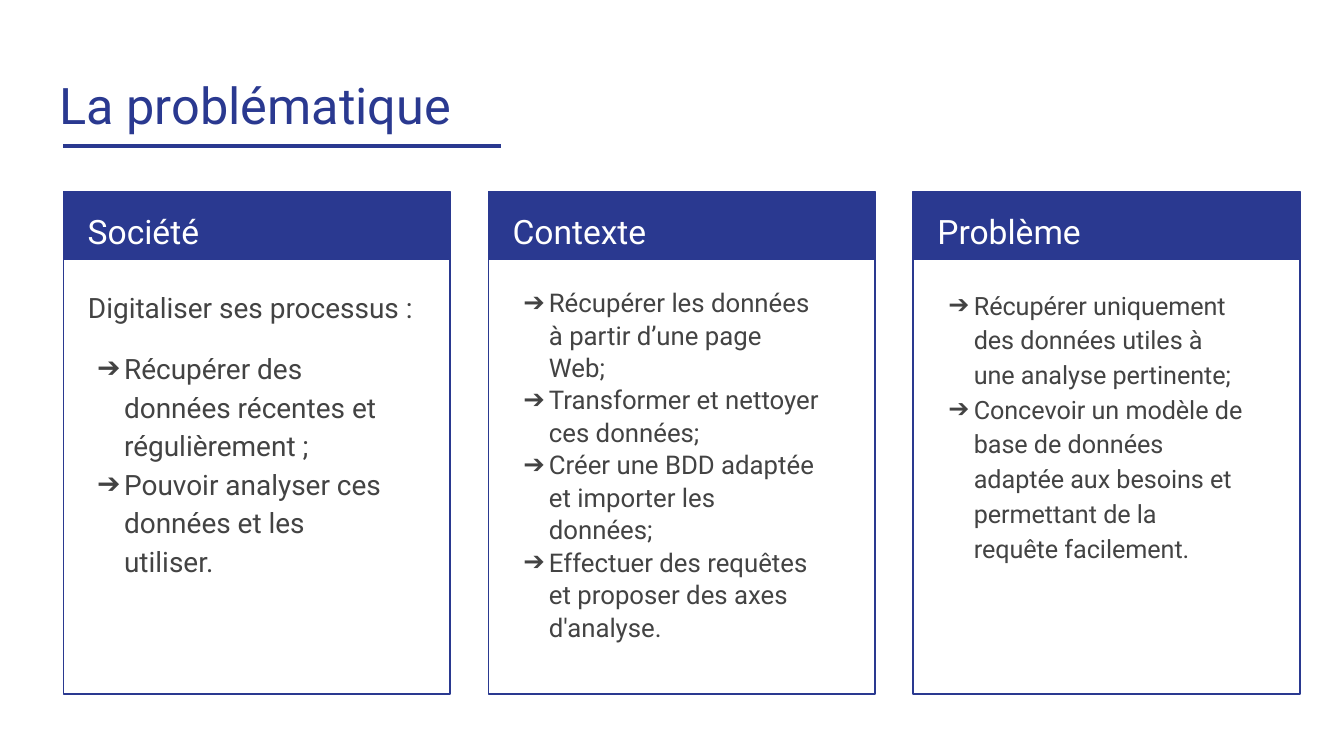
from lxml import etree
from pptx import Presentation
from pptx.dml.color import RGBColor
from pptx.enum import shapes, text
from pptx.oxml import ns
from pptx.util import Pt

BLUE, GREY, WHITE = "2A3990", "434343", "FFFFFF"
FONT = "Roboto"
TITLE = "La problématique"
CARDS = [
    {"heading": "Société", "intro": "Digitaliser ses processus :",
     "points": ["Récupérer des données récentes et régulièrement ;",
                "Pouvoir analyser ces données et les utiliser."],
     "size": 15, "spacing": 1.15, "hanging": 14.4},
    {"heading": "Contexte", "intro": None,
     "points": ["Récupérer les données à partir d’une page Web;",
                "Transformer et nettoyer ces données;",
                "Créer une BDD adaptée et importer les données;",
                "Effectuer des requêtes et proposer des axes d'analyse."],
     "size": 13.8, "spacing": 1.05, "hanging": 13.7},
    {"heading": "Problème", "intro": None,
     "points": ["Récupérer uniquement des données utiles à une analyse pertinente;",
                "Concevoir un modèle de base de données adaptée aux besoins "
                "et permettant de la requête facilement."],
     "size": 13.5, "spacing": 1.15, "hanging": 13.7},
]
LEFT, TOP, WIDTH, HEIGHT, STEP = 34, 102.7, 207.2, 269.2, 227.6
BAND = 36.6
INDENT, RIGHT_INDENT = 19.4, 15


def color(value):
    return RGBColor.from_string(value)


def add_frame(slide, left, top, width, height):
    frame = slide.shapes.add_textbox(Pt(left), Pt(top), Pt(width), Pt(height)).text_frame
    frame.word_wrap = True
    frame.vertical_anchor = text.MSO_ANCHOR.TOP
    frame.margin_left = frame.margin_right = Pt(7.2)
    frame.margin_top = frame.margin_bottom = Pt(7.2)
    return frame


def write(paragraph, words, size, tint, spacing=1.0):
    paragraph.line_spacing = spacing
    run = paragraph.add_run()
    run.text = words
    run.font.name = FONT
    run.font.size = Pt(size)
    run.font.color.rgb = color(tint)


def add_arrow_bullet(paragraph, hanging):
    properties = paragraph._p.get_or_add_pPr()
    properties.set("marL", str(Pt(INDENT)))
    properties.set("marR", str(Pt(RIGHT_INDENT)))
    properties.set("indent", str(-Pt(hanging)))
    bullet_color = etree.SubElement(properties, ns.qn("a:buClr"))
    etree.SubElement(bullet_color, ns.qn("a:srgbClr"), val=GREY)
    etree.SubElement(properties, ns.qn("a:buFont"), typeface=FONT)
    etree.SubElement(properties, ns.qn("a:buChar"), char="➔")


def add_card(slide, left, card):
    group = slide.shapes.add_group_shape().shapes
    band, border = [
        group.add_shape(shapes.MSO_SHAPE.RECTANGLE, Pt(left), Pt(TOP), Pt(WIDTH), Pt(height))
        for height in (BAND, HEIGHT)]
    band.fill.solid()
    band.fill.fore_color.rgb = color(BLUE)
    band.line.fill.background()
    border.fill.background()
    border.line.color.rgb = color(BLUE)
    border.line.width = Pt(0.75)
    band.shadow.inherit = border.shadow.inherit = False

    heading = add_frame(slide, left + 5.9, TOP, 196.6, 36)
    write(heading.paragraphs[0], card["heading"], 18, WHITE, 1.15)

    body = add_frame(slide, left + 6, 145.7, 195.1, 220.3)
    paragraph = body.paragraphs[0]
    if card["intro"]:
        write(paragraph, card["intro"], card["size"], GREY, card["spacing"])
    for number, point in enumerate(card["points"]):
        if number or card["intro"]:
            paragraph = body.add_paragraph()
        add_arrow_bullet(paragraph, card["hanging"])
        if card["intro"] and number == 0:
            paragraph.space_before = Pt(12)
        write(paragraph, point, card["size"], GREY, card["spacing"])


def main():
    deck = Presentation()
    deck.slide_width, deck.slide_height = Pt(720), Pt(405)
    slide = deck.slides.add_slide(deck.slide_layouts[6])
    for column, card in enumerate(CARDS):
        add_card(slide, LEFT + column * STEP, card)

    title = add_frame(slide, 24.8, 32.4, 671, 47.5)
    write(title.paragraphs[0], TITLE, 27, BLUE)

    underline = slide.shapes.add_connector(
        shapes.MSO_CONNECTOR.STRAIGHT, Pt(LEFT), Pt(78.3), Pt(268.5), Pt(78.3))
    underline.line.color.rgb = color(BLUE)
    underline.line.width = Pt(2.25)
    etree.SubElement(underline._element.spPr, ns.qn("a:effectLst"))

    deck.save("out.pptx")


if __name__ == "__main__":
    main()
